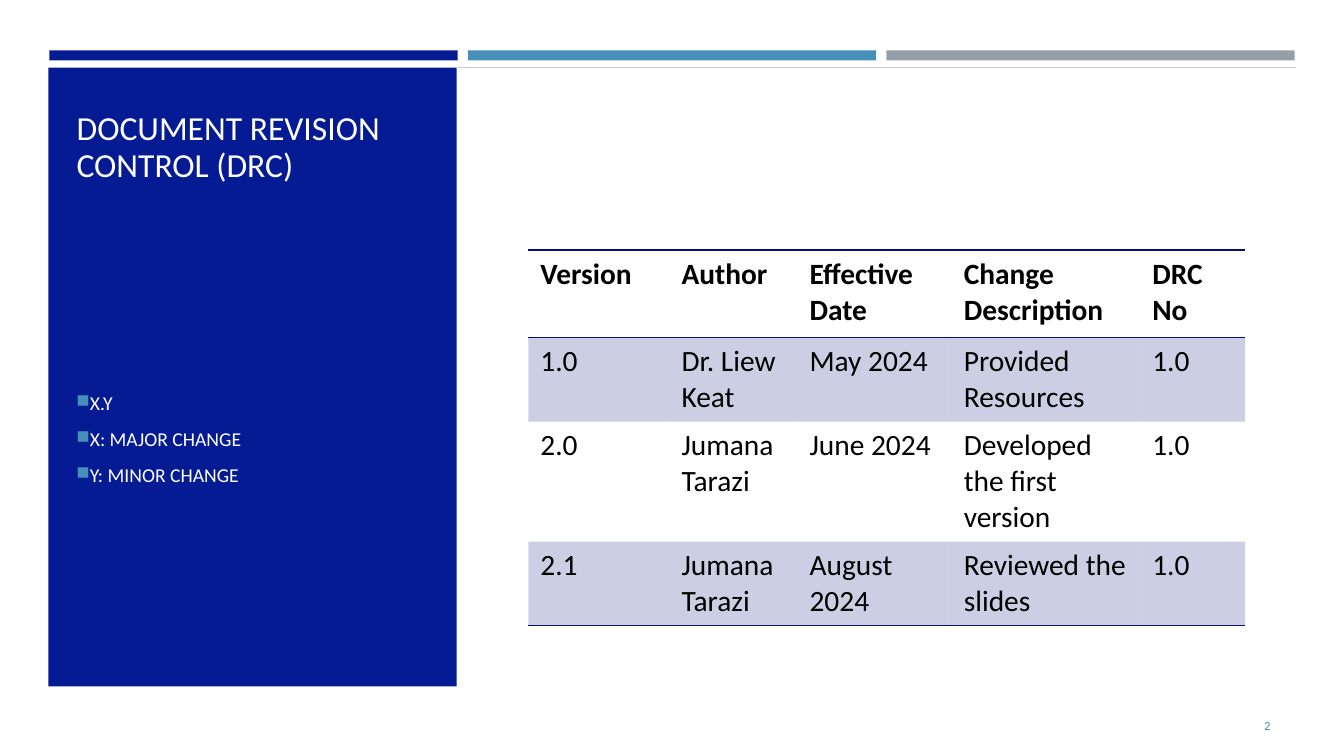
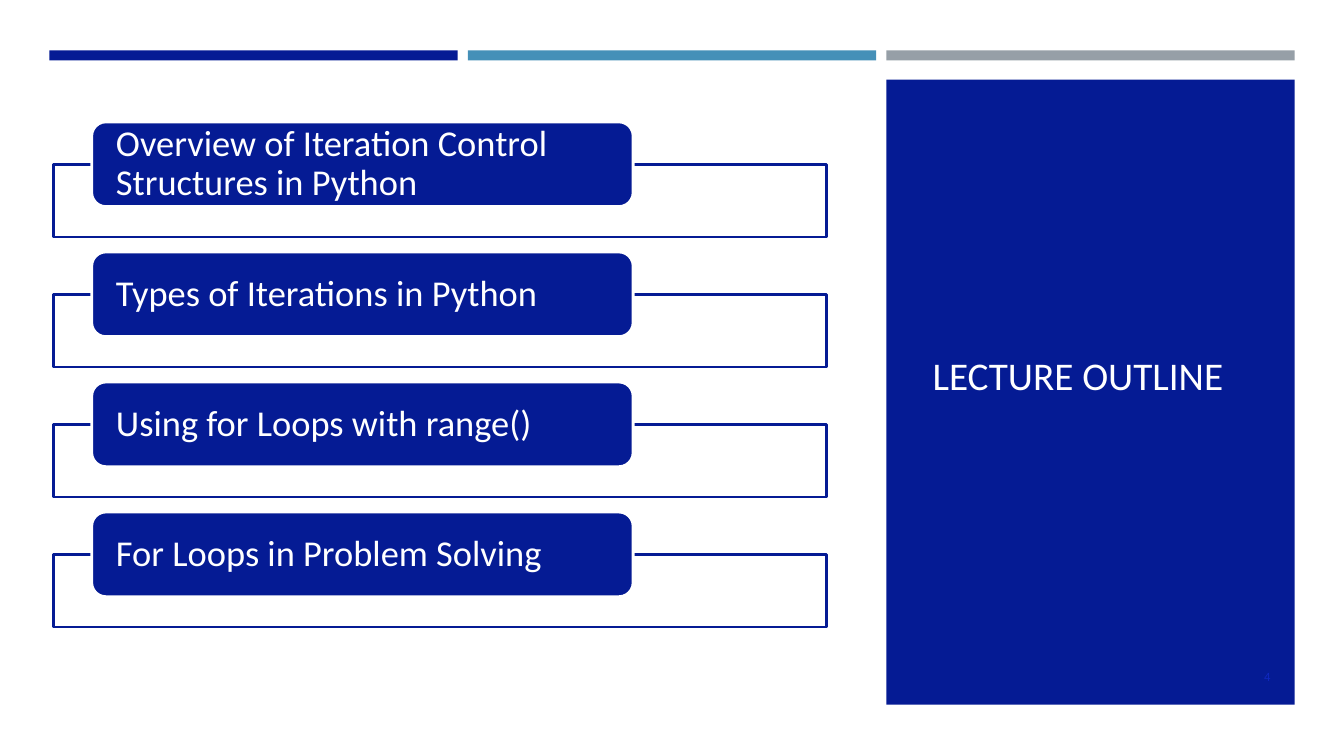
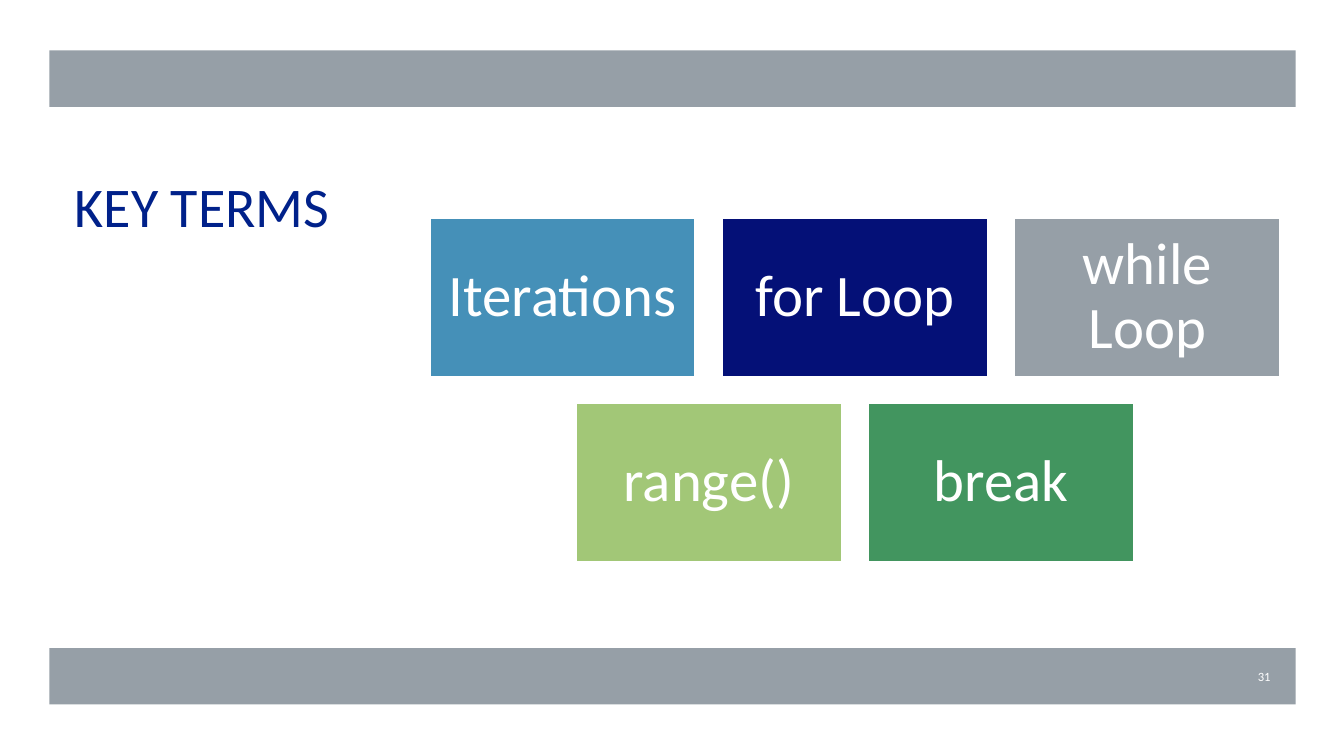
from lxml import etree
from pptx import Presentation
from pptx.dml.color import RGBColor
from pptx.enum import shapes, text
from pptx.oxml import ns
from pptx.util import Inches, Pt

WHITE = RGBColor(0xFF, 0xFF, 0xFF)
BLACK = RGBColor(0x00, 0x00, 0x00)
BLUE = RGBColor(0x05, 0x1B, 0x94)
TITLE_BLUE = RGBColor(0x00, 0x21, 0x8A)
NAVY = RGBColor(0x04, 0x10, 0x77)
SKY = RGBColor(0x45, 0x90, 0xB8)
GREY = RGBColor(0x96, 0x9F, 0xA7)
PALE_GREY = RGBColor(0xC8, 0xCA, 0xD0)
LIME = RGBColor(0xA2, 0xC7, 0x77)
GREEN = RGBColor(0x42, 0x95, 0x5F)
FAINT_BLUE = RGBColor(0x10, 0x28, 0xC0)

FONT = "Calibri"
LEFT = text.PP_ALIGN.LEFT
CENTER = text.PP_ALIGN.CENTER
RIGHT = text.PP_ALIGN.RIGHT
TOP = text.MSO_ANCHOR.TOP
MIDDLE = text.MSO_ANCHOR.MIDDLE
BOTTOM = text.MSO_ANCHOR.BOTTOM
RECT = shapes.MSO_SHAPE.RECTANGLE
ROUNDED = shapes.MSO_SHAPE.ROUNDED_RECTANGLE
NO_STYLE_TABLE = "{2D5ABB26-0587-4C30-8999-92F81FD0307C}"


def add_xml(parent, tag, **attributes):
    return etree.SubElement(parent, ns.qn(tag), attributes)


class Lecture:
    """Holds the deck, its style and the current slide."""

    def __init__(self):
        self.deck = Presentation()
        self.deck.slide_width = Inches(13.33)
        self.deck.slide_height = Inches(7.5)
        self.page = None

    def new_page(self):
        self.page = self.deck.slides.add_slide(self.deck.slide_layouts[5])

    def set_text(self, frame, words, size, color, align=LEFT, anchor=MIDDLE,
                 spacing=None):
        frame.text = words
        frame.word_wrap = True
        frame.auto_size = text.MSO_AUTO_SIZE.NONE
        frame.vertical_anchor = anchor
        for para in frame.paragraphs:
            self.style(para, size, color, align, spacing)

    def style(self, para, size, color, align=LEFT, spacing=None, bold=False):
        para.alignment = align
        para.line_spacing = spacing
        for span in para.runs:
            span.font.name = FONT
            span.font.size = Pt(size)
            span.font.bold = bold
            span.font.color.rgb = color

    def title(self, words, left, top, width, height, size, color,
              anchor=MIDDLE, spacing=None):
        box = self.page.shapes.title
        box.left, box.top = Inches(left), Inches(top)
        box.width, box.height = Inches(width), Inches(height)
        self.set_text(box.text_frame, words, size, color, anchor=anchor,
                      spacing=spacing)
        # Bring the title in front of the panel drawn before it
        box.element.getparent().append(box.element)

    def shape(self, left, top, width, height, fill, line=None, weight=1.75,
              kind=RECT):
        shape = self.page.shapes.add_shape(
            kind, Inches(left), Inches(top), Inches(width), Inches(height))
        shape.shadow.inherit = False
        shape.fill.solid()
        shape.fill.fore_color.rgb = fill
        if line is None:
            shape.line.fill.background()
        else:
            shape.line.color.rgb = line
            shape.line.width = Pt(weight)
        return shape

    def label(self, shape, words, size, align, margin_x, margin_y):
        frame = shape.text_frame
        frame.margin_left = frame.margin_right = Inches(margin_x)
        frame.margin_top = frame.margin_bottom = Inches(margin_y)
        self.set_text(frame, words, size, WHITE, align, spacing=0.9)

    def text_box(self, words, left, top, width, height, size, color,
                 align=LEFT):
        box = self.page.shapes.add_textbox(
            Inches(left), Inches(top), Inches(width), Inches(height))
        self.set_text(box.text_frame, words, size, color, align)
        return box

    def bullets(self, items, left, top, width, height, size):
        box = self.text_box("\n".join(items), left, top, width, height,
                            size, WHITE)
        for para in box.text_frame.paragraphs:
            para.space_before = Pt(size * 0.2)
            para.space_after = Pt(6)
            props = para._p.get_or_add_pPr()
            props.set("marL", "0")
            props.set("indent", "0")
            color = add_xml(props, "a:buClr")
            add_xml(color, "a:srgbClr", val=str(SKY))
            add_xml(props, "a:buSzPct", val="92000")
            add_xml(props, "a:buChar", char="■")

    def rule(self, left, right, top):
        line = self.page.shapes.add_connector(
            shapes.MSO_CONNECTOR.STRAIGHT, Inches(left), Inches(top),
            Inches(right), Inches(top))
        line.line.color.rgb = PALE_GREY
        line.line.width = Pt(0.5)
        add_xml(line.element.spPr, "a:effectLst")

    def top_bands(self):
        for index, color in enumerate((BLUE, SKY, GREY)):
            self.shape(0.49 + index * 4.15, 0.5, 4.05, 0.1, color)

    def page_number(self, number, color, top=6.51):
        self.text_box(number, 11.55, top, 1.15, 0.4, 9, color, RIGHT)

    def table(self, rows, left, top, widths, heights):
        frame = self.page.shapes.add_table(
            len(rows), len(widths), Inches(left), Inches(top),
            Inches(sum(widths)), Inches(sum(heights)))
        table = frame.table
        table.first_row = table.horz_banding = False
        table._tbl.tblPr.find(ns.qn("a:tableStyleId")).text = NO_STYLE_TABLE
        for column, width in zip(table.columns, widths):
            column.width = Inches(width)
        edges = {0: ("a:lnT", "a:lnB"), len(rows) - 1: ("a:lnB",)}
        for index, (row, height) in enumerate(zip(table.rows, heights)):
            row.height = Inches(height)
            for cell, words in zip(row.cells, rows[index]):
                self.cell(cell, words, index == 0, index % 2 == 1,
                          edges.get(index, ()))

    def cell(self, cell, words, header, shaded, edges):
        cell.margin_left = cell.margin_right = Inches(0.12)
        cell.margin_top = cell.margin_bottom = Inches(0.06)
        cell.text = words
        cell.vertical_anchor = TOP
        for para in cell.text_frame.paragraphs:
            self.style(para, 21, BLACK, bold=header)
        props = cell._tc.get_or_add_tcPr()
        if shaded:
            cell.fill.solid()
            cell.fill.fore_color.rgb = NAVY
            color = props.find(".//" + ns.qn("a:srgbClr"))
            add_xml(color, "a:alpha", val="20000")
        else:
            cell.fill.background()
        for place, edge in enumerate(edges):
            line = etree.Element(ns.qn(edge), w=str(Pt(1)))
            fill = add_xml(line, "a:solidFill")
            add_xml(fill, "a:srgbClr", val=str(NAVY))
            props.insert(place, line)


def revision_slide(lecture):
    lecture.new_page()
    lecture.top_bands()
    lecture.rule(4.54, 12.85, 0.67)

    # Side panel
    lecture.shape(0.48, 0.67, 4.05, 6.14, BLUE)
    lecture.title("DOCUMENT REVISION CONTROL (DRC)", 0.66, 0.77, 3.73, 1.11,
                  24, WHITE, BOTTOM, 0.9)
    lecture.bullets(["X.Y", "X: MAJOR CHANGE", "Y: MINOR CHANGE"],
                    0.66, 2.15, 3.73, 4.41, 14)
    lecture.page_number("2", SKY, top=7)

    # Revision history
    lecture.table(
        [["Version", "Author", "Effective Date", "Change Description",
          "DRC No"],
         ["1.0", "Dr. Liew Keat", "May 2024", "Provided Resources", "1.0"],
         ["2.0", "Jumana Tarazi", "June 2024", "Developed the first version",
          "1.0"],
         ["2.1", "Jumana Tarazi", "August 2024", "Reviewed the slides",
          "1.0"]],
        5.24, 2.48, [1.4, 1.27, 1.53, 1.87, 1.04], [0.87, 0.83, 1.19, 0.83])


def outline_slide(lecture):
    lecture.new_page()
    lecture.top_bands()

    # Title panel
    lecture.shape(8.79, 0.79, 4.05, 6.2, BLUE)
    lecture.title("LECTURE OUTLINE", 9.15, 1.14, 3.34, 5.15, 28, WHITE)
    lecture.page_number("4", FAINT_BLUE)

    # Topics, each a heading set on a frame
    topics = ["Overview of Iteration Control Structures in Python",
              "Types of Iterations in Python",
              "Using for Loops with range()",
              "For Loops in Problem Solving"]
    for index, topic in enumerate(topics):
        top = 1.21 + index * 1.29
        lecture.shape(0.53, top + 0.42, 7.67, 0.72, WHITE, BLUE)
        heading = lecture.shape(0.91, top, 5.37, 0.84, BLUE, WHITE, 2,
                                ROUNDED)
        lecture.label(heading, topic, 26, LEFT, 0.2, 0)


def terms_slide(lecture):
    lecture.new_page()
    lecture.title("KEY TERMS", 0.64, 1.65, 5.6, 4.27, 40, TITLE_BLUE, TOP)

    # Bands
    for top in (0.5, 6.43):
        lecture.shape(0.49, top, 12.36, 0.56, GREY)
    lecture.page_number("31", WHITE)

    # Term tiles, the second row centred under the first
    tile_rows = [
        (4.26, 2.16, [("Iterations", SKY), ("for Loop", NAVY),
                      ("while Loop", GREY)]),
        (5.71, 4, [("range()", LIME), ("break", GREEN)]),
    ]
    for left, top, tiles in tile_rows:
        for index, (term, color) in enumerate(tiles):
            tile = lecture.shape(left + index * 2.9, top, 2.64, 1.58, color,
                                 WHITE)
            lecture.label(tile, term, 42, CENTER, 0.17, 0.17)


def main():
    lecture = Lecture()
    revision_slide(lecture)
    outline_slide(lecture)
    terms_slide(lecture)
    lecture.deck.save("out.pptx")


if __name__ == "__main__":
    main()
